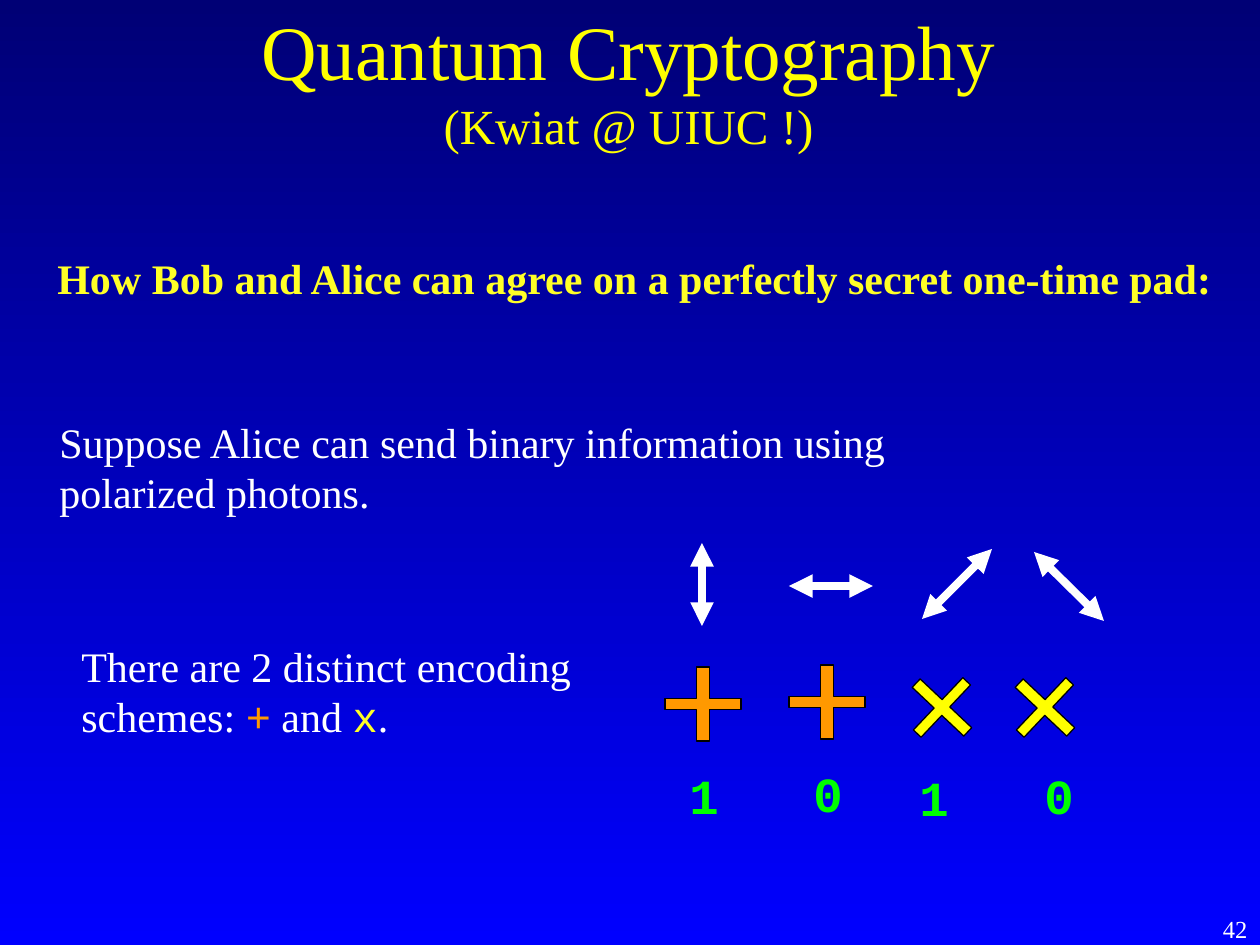
from lxml import etree
from pptx import Presentation
from pptx.dml.color import RGBColor
from pptx.enum.shapes import MSO_CONNECTOR, MSO_SHAPE
from pptx.enum.text import MSO_ANCHOR, MSO_AUTO_SIZE, PP_ALIGN
from pptx.oxml.ns import qn
from pptx.util import Emu, Pt

STRAIGHT = MSO_CONNECTOR.STRAIGHT
CROSS = MSO_SHAPE.CROSS
TOP, MIDDLE = MSO_ANCHOR.TOP, MSO_ANCHOR.MIDDLE
LEFT, CENTER, RIGHT = PP_ALIGN.LEFT, PP_ALIGN.CENTER, PP_ALIGN.RIGHT
FIT, FIXED = MSO_AUTO_SIZE.SHAPE_TO_FIT_TEXT, MSO_AUTO_SIZE.NONE

EMU_PER_PX = 914400 / 126
SERIF, MONO = "Times New Roman", "Courier New"
WHITE, YELLOW, PALE_YELLOW = "FFFFFF", "FFFF00", "FFFF27"
ORANGE, GREEN, BLACK = "FF9900", "00FF00", "000000"


def px(length):
    return Emu(round(length * EMU_PER_PX))


def color(value):
    return RGBColor.from_string(value)


def set_background(slide, top, bottom):
    fill = slide.background.fill
    fill.gradient()
    fill.gradient_angle = 270
    for stop, value in zip(fill.gradient_stops, (top, bottom)):
        stop.color.rgb = color(value)


def add_text(slide, box, lines, align=LEFT, anchor=TOP, wrap=False):
    shape = slide.shapes.add_textbox(*map(px, box))
    frame = shape.text_frame
    frame.word_wrap = wrap
    frame.auto_size = FIXED if wrap else FIT
    frame.vertical_anchor = anchor
    paragraph = frame.paragraphs[0]
    paragraph.alignment = align
    for index, line in enumerate(lines):
        if index:
            paragraph.add_line_break()
        for text, size, font, value, bold in line:
            run = paragraph.add_run()
            run.text = text
            run.font.size = Pt(size)
            run.font.name = font
            run.font.bold = bold
            run.font.color.rgb = color(value)


def add_cross(slide, box, fill, rotation):
    shape = slide.shapes.add_shape(CROSS, *map(px, box))
    shape.adjustments[0] = 0.425
    shape.rotation = rotation
    shape.shadow.inherit = False
    shape.fill.solid()
    shape.fill.fore_color.rgb = color(fill)
    shape.line.color.rgb = color(BLACK)
    shape.line.width = Pt(0.75)


def add_double_arrow(slide, ends):
    connector = slide.shapes.add_connector(STRAIGHT, *map(px, ends))
    connector.line.color.rgb = color(WHITE)
    connector.line.width = Pt(4.5)
    line = connector.line._get_or_add_ln()
    for tag in ("a:headEnd", "a:tailEnd"):
        etree.SubElement(line, qn(tag), type="triangle")
    etree.SubElement(connector._element.spPr, qn("a:effectLst"))


def add_photons(slide):
    plus, diagonal = (76, 74, ORANGE, 0), (72, 71, YELLOW, 313.4)
    photons = [
        ((702, 626, 702, 543), (665, 667), plus, "1", (677, 759)),
        ((789, 586, 873, 586), (789, 665), plus, "0", (801, 757)),
        ((922, 619, 992, 549), (906, 672), diagonal, "1", (907, 761)),
        ((1034, 552, 1104, 621), (1009, 672), diagonal, "0", (1032, 759)),
    ]
    for ends, cross_at, scheme, bit, bit_at in photons:
        width, height, fill, rotation = scheme
        add_double_arrow(slide, ends)
        add_cross(slide, (*cross_at, width, height), fill, rotation)
        add_text(slide, (*bit_at, 53, 72), [[(bit, 28, MONO, GREEN, True)]])


def main():
    presentation = Presentation()
    presentation.slide_width, presentation.slide_height = px(1260), px(945)
    slide = presentation.slides.add_slide(presentation.slide_layouts[6])
    set_background(slide, "000075", "0000FF")

    add_text(slide, (93, 0, 1071, 158), [
        [("Quantum Cryptography", 44, SERIF, YELLOW, False)],
        [("(Kwiat @ UIUC !)", 28, SERIF, YELLOW, False)],
    ], CENTER, MIDDLE, True)
    add_text(slide, (45, 246, 1183, 63), [
        [("How Bob and Alice can agree on a perfectly secret one-time pad:",
          24, SERIF, PALE_YELLOW, True)],
    ])
    add_text(slide, (47, 410, 853, 113), [
        [("Suppose Alice can send binary information using", 24, SERIF, WHITE, False)],
        [("polarized photons.", 24, SERIF, WHITE, False)],
    ])
    add_text(slide, (69, 634, 515, 113), [
        [("There are 2 distinct encoding", 24, SERIF, WHITE, False)],
        [("schemes: ", 24, SERIF, WHITE, False),
         ("+", 24, MONO, ORANGE, False),
         (" and ", 24, SERIF, WHITE, False),
         ("x", 24, MONO, PALE_YELLOW, False),
         (".", 24, SERIF, WHITE, False)],
    ])
    add_photons(slide)
    add_text(slide, (998, 908, 262, 37), [[("42", 14, SERIF, WHITE, False)]],
             RIGHT, wrap=True)
    presentation.save("out.pptx")


if __name__ == "__main__":
    main()
